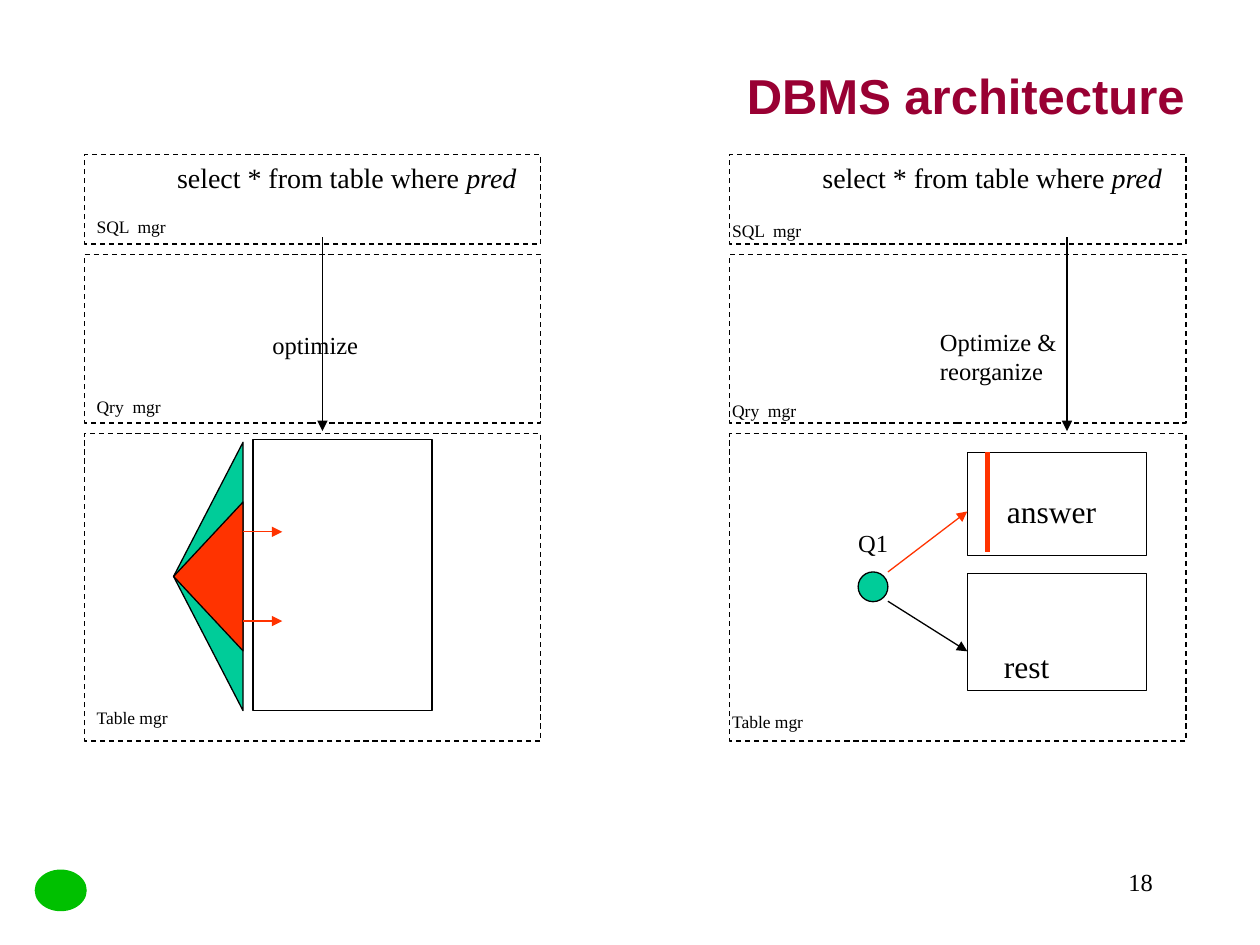
"""Build the DBMS architecture slide comparing two query processing stacks."""
from dataclasses import dataclass

from lxml import etree
from pptx import Presentation
from pptx.dml.color import RGBColor
from pptx.enum.dml import MSO_LINE
from pptx.enum.shapes import MSO_CONNECTOR, MSO_SHAPE
from pptx.enum.text import MSO_ANCHOR, PP_ALIGN
from pptx.oxml.ns import qn
from pptx.util import Cm, Pt

RECT, OVAL = MSO_SHAPE.RECTANGLE, MSO_SHAPE.OVAL
TRIANGLE = MSO_SHAPE.ISOSCELES_TRIANGLE
STRAIGHT = MSO_CONNECTOR.STRAIGHT
DASH = MSO_LINE.DASH
LEFT, RIGHT = PP_ALIGN.LEFT, PP_ALIGN.RIGHT
TOP, MIDDLE = MSO_ANCHOR.TOP, MSO_ANCHOR.MIDDLE


@dataclass(frozen=True)
class Theme:
    ink: str = "000000"
    title: str = "990033"
    table: str = "00CC99"
    hot: str = "FF3300"
    emblem: str = "00C000"
    head_font: str = "Arial"
    body_font: str = "Times New Roman"
    title_size: int = 28
    name_size: int = 18
    query_size: int = 16
    note_size: int = 14
    label_size: int = 10
    thin: float = 0.75
    thick: float = 3


class Painter:
    def __init__(self, slide, theme):
        self.s = slide
        self.t = theme

    def shape(self, kind, x, y, w, h, fill=None, line=True, dash=None):
        sp = self.s.shapes.add_shape(kind, Cm(x), Cm(y), Cm(w), Cm(h))
        sp.shadow.inherit = False
        if fill:
            sp.fill.solid()
            sp.fill.fore_color.rgb = RGBColor.from_string(fill)
        else:
            sp.fill.background()
        if line:
            sp.line.color.rgb = RGBColor.from_string(self.t.ink)
            sp.line.width = Pt(self.t.thin)
            sp.line.dash_style = dash
        else:
            sp.line.fill.background()
        return sp

    def wedge(self, cx, cy, base, depth, fill):
        sp = self.shape(TRIANGLE, cx - base / 2, cy - depth / 2, base, depth, fill)
        sp.rotation = 270

    def line(self, x1, y1, x2, y2, color=None, width=None, arrow=True):
        c = self.s.shapes.add_connector(STRAIGHT, Cm(x1), Cm(y1), Cm(x2), Cm(y2))
        c.line.color.rgb = RGBColor.from_string(color or self.t.ink)
        c.line.width = Pt(width or self.t.thin)
        if arrow:
            etree.SubElement(c.line._get_or_add_ln(), qn("a:tailEnd"), type="triangle")
        etree.SubElement(c._element.spPr, qn("a:effectLst"))

    def text(self, text, x, y, w, h, size, italic="", font=None, color=None,
             bold=False, align=LEFT, anchor=TOP, wrap=False):
        tf = self.s.shapes.add_textbox(Cm(x), Cm(y), Cm(w), Cm(h)).text_frame
        tf.word_wrap = wrap
        tf.vertical_anchor = anchor
        tf.text = text
        for p in tf.paragraphs:
            p.alignment = align
            p.font.name = font or self.t.body_font
            p.font.size = Pt(size)
            p.font.bold = bold
            p.font.color.rgb = RGBColor.from_string(color or self.t.ink)
        if italic:
            r = tf.paragraphs[-1].add_run()
            r.text = italic
            r.font.italic = True

    def stack(self, x, label_dx, label_dy, arrow_x):
        layers = [("SQL  mgr", 3.12, 1.8, 4.24),
                  ("Qry  mgr", 5.13, 3.4, 7.85),
                  ("Table mgr", 8.74, 6.2, 14.12)]
        for name, y, h, label_y in layers:
            self.shape(RECT, x, y, 9.2, h, dash=DASH)
            self.text(name, x + label_dx, label_y + label_dy, 2.2, 0.69,
                      self.t.label_size, wrap=True)
        self.text("select * from table where ", x + 1.62, 3.12, 7.4, 0.94,
                  self.t.query_size, italic="pred")
        self.line(arrow_x, 4.78, arrow_x, 8.69)


def main():
    prs = Presentation()
    prs.slide_width, prs.slide_height = Cm(25.4), Cm(19.05)
    s = prs.slides.add_slide(prs.slide_layouts[6])
    t = Theme()
    d = Painter(s, t)

    d.shape(OVAL, 0.7, 17.53, 1.05, 0.84, t.emblem, line=False)
    d.text("DBMS architecture", 2.97, 0.85, 21.16, 2.11, t.title_size,
           font=t.head_font, color=t.title, bold=True, align=RIGHT,
           anchor=MIDDLE, wrap=True)

    d.stack(1.7, 0, 0, 6.5)
    d.text("optimize", 5.24, 6.53, 2.4, 0.86, t.note_size, wrap=True)
    d.shape(RECT, 5.1, 8.86, 3.61, 5.46)
    d.wedge(4.2, 11.62, 5.41, 1.4, t.table)
    d.wedge(4.2, 11.62, 3, 1.4, t.hot)
    for y in (10.72, 12.52):
        d.line(4.9, y, 5.69, y, t.hot)

    d.stack(14.71, -0.2, 0.08, 21.51)
    d.text("Optimize &\nreorganize", 18.7, 6.46, 3.2, 1.45, t.note_size, wrap=True)
    d.text("Q1", 17.05, 10.52, 1.3, 0.86, t.note_size, wrap=True)
    d.shape(OVAL, 17.3, 11.53, 0.6, 0.6, t.table)
    d.shape(RECT, 19.5, 9.12, 3.61, 2.08)
    d.shape(RECT, 19.5, 11.56, 3.61, 2.36)
    d.text("answer", 20.05, 9.79, 2.5, 1.02, t.name_size, wrap=True)
    d.text("rest", 19.99, 12.91, 1.6, 1.02, t.name_size, wrap=True)
    d.line(17.9, 11.53, 19.5, 10.31, t.hot)
    d.line(17.9, 12.12, 19.5, 13.13)
    d.line(19.91, 9.12, 19.91, 11.13, t.hot, t.thick, arrow=False)

    d.text("18", 18.21, 17.35, 5.28, 1.27, t.note_size, align=RIGHT, wrap=True)
    prs.save("out.pptx")


if __name__ == "__main__":
    main()
